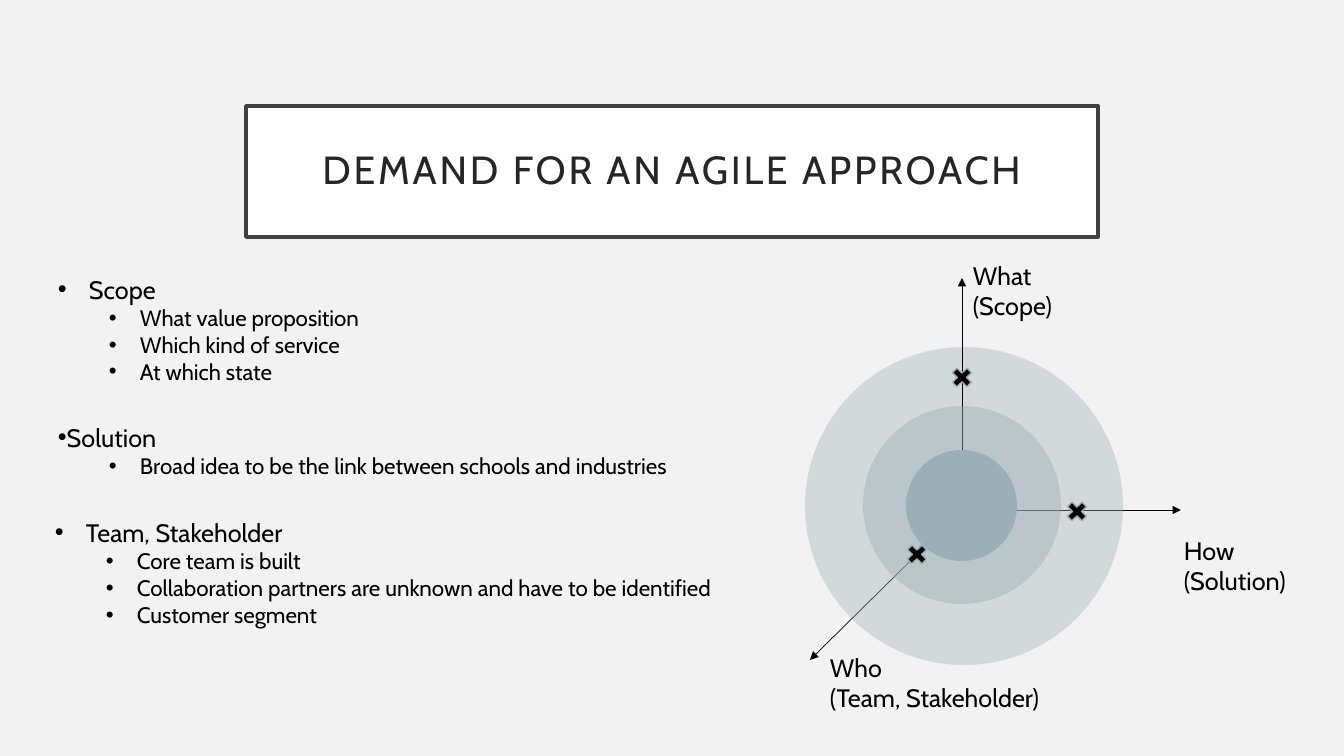
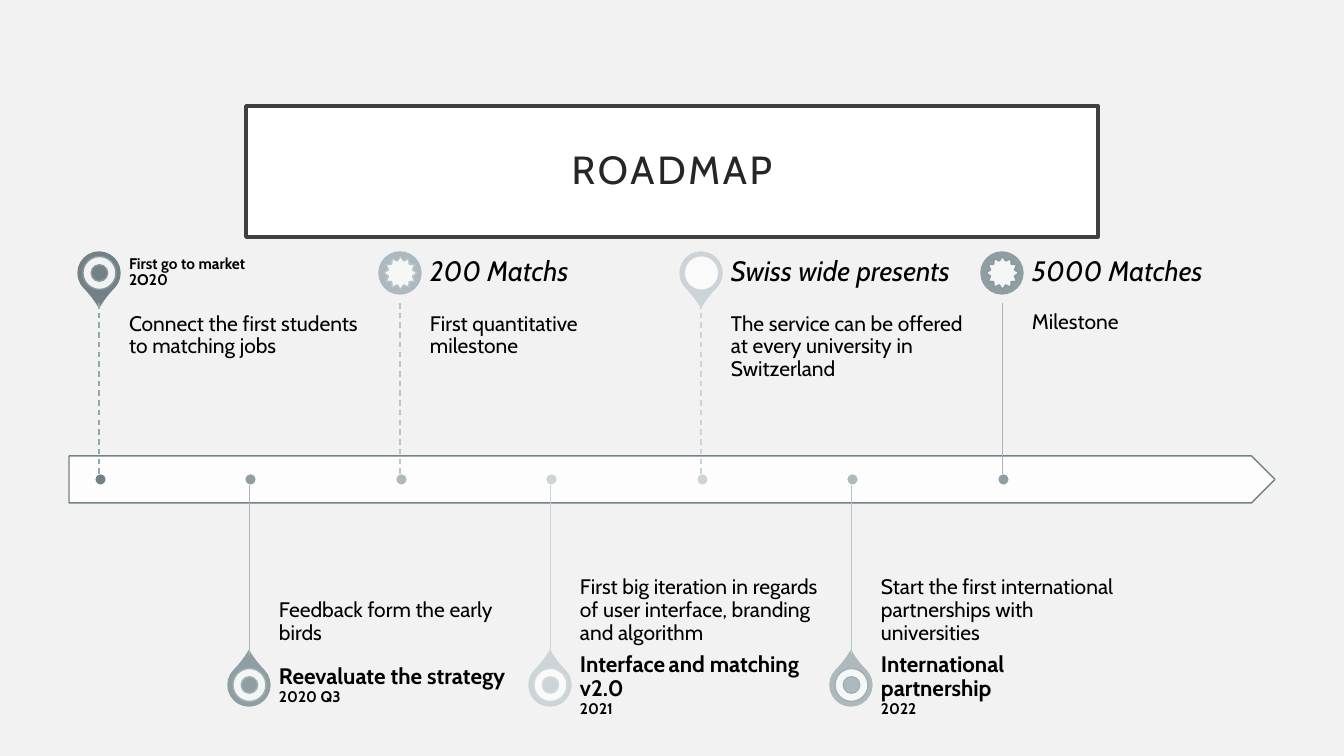
from dataclasses import dataclass

from lxml.etree import SubElement
from pptx import Presentation
from pptx.dml.color import RGBColor
from pptx.enum.dml import MSO_LINE
from pptx.enum.shapes import MSO_CONNECTOR, MSO_SHAPE
from pptx.enum.text import MSO_ANCHOR, MSO_AUTO_SIZE, PP_ALIGN
from pptx.oxml.ns import qn
from pptx.util import Pt

RECTANGLE, ELLIPSE, CROSS = MSO_SHAPE.RECTANGLE, MSO_SHAPE.OVAL, MSO_SHAPE.MATH_MULTIPLY
TEARDROP, DONUT, STAR = MSO_SHAPE.TEAR, MSO_SHAPE.DONUT, MSO_SHAPE.STAR_12_POINT
PENTAGON, STRAIGHT, DASH = MSO_SHAPE.PENTAGON, MSO_CONNECTOR.STRAIGHT, MSO_LINE.DASH
TOP, MIDDLE, BOTTOM = MSO_ANCHOR.TOP, MSO_ANCHOR.MIDDLE, MSO_ANCHOR.BOTTOM
CENTER, GROW = PP_ALIGN.CENTER, MSO_AUTO_SIZE.SHAPE_TO_FIT_TEXT

PIXEL = 914400 / 100.8


@dataclass(frozen=True)
class Theme:
    """Colours, font and type sizes shared by the slides."""
    font: str = "Cabin"
    background: str = "F2F2F2"
    white: str = "FFFFFF"
    black: str = "000000"
    frame: str = "404040"
    title_color: str = "262626"
    accent: str = "9CAFB5"
    dark: str = "738186"
    medium: str = "8F9EA2"
    soft: str = "ADB9BD"
    pale: str = "CCD4D7"
    title: int = 28
    milestone: int = 20
    label: int = 18
    item: int = 16
    description: int = 15
    date: int = 11


theme = Theme()


def add_shape(slide, preset, box, fill, line=None, width=1, opacity=100):
    """Add a preset shape with a flat fill; box is in pixels."""
    shape = slide.shapes.add_shape(preset, *[round(value * PIXEL) for value in box])
    shape.shadow.inherit = False
    shape.fill.solid()
    shape.fill.fore_color.rgb = RGBColor.from_string(fill)
    if opacity < 100:
        color = shape._element.spPr.find(".//" + qn("a:srgbClr"))
        SubElement(color, qn("a:alpha"), val=str(opacity * 1000))
    if line:
        shape.line.color.rgb = RGBColor.from_string(line)
        shape.line.width = Pt(width)
    else:
        shape.line.fill.background()
    return shape


def write_text(shape, paragraphs, insets=(10, 5, 10, 5), anchor=TOP, spacing=1.0, color=theme.black):
    """Fill a shape with paragraphs of (text, size, style) runs; a "\\n" run breaks the line."""
    frame = shape.text_frame
    frame.word_wrap = True
    frame.vertical_anchor = anchor
    (frame.margin_left, frame.margin_top, frame.margin_right,
     frame.margin_bottom) = [round(inset * PIXEL) for inset in insets]
    for index, runs in enumerate(paragraphs):
        paragraph = frame.add_paragraph() if index else frame.paragraphs[0]
        paragraph.line_spacing = spacing
        for text, size, style in runs:
            if text == "\n":
                paragraph.add_line_break()
                SubElement(paragraph._p[-1], qn("a:rPr"), sz=str(size * 100))
                continue
            run = paragraph.add_run()
            run.text = text
            run.font.name = theme.font
            run.font.size = Pt(size)
            run.font.bold = style == "bold"
            run.font.italic = style == "italic"
            run.font.color.rgb = RGBColor.from_string(color)
    return frame


presentation = Presentation()
presentation.slide_width = round(1344 * PIXEL)
presentation.slide_height = round(756 * PIXEL)
master_fill = presentation.slide_master.background.fill
master_fill.solid()
master_fill.fore_color.rgb = RGBColor.from_string(theme.background)

for heading in ("DEMAND FOR AN AGILE APPROACH", "ROADMAP"):
    slide = presentation.slides.add_slide(presentation.slide_layouts[6])
    title = add_shape(slide, RECTANGLE, (246, 106, 852, 131), theme.white, theme.frame, 2.5)
    frame = write_text(title, [[(heading, theme.title, "")]], (20, 20, 20, 20), MIDDLE, 0.9,
                       theme.title_color)
    frame.paragraphs[0].alignment = CENTER
    frame.paragraphs[0].runs[0]._r.get_or_add_rPr().set("spc", "200")
agile_slide, roadmap_slide = presentation.slides

# Agile approach: axes run under the rings that follow them
ring_layers = [
    ([(810, 660), (1181, 510)], [((805, 347, 318, 318), 37)]),
    ([(962, 278)], [((863, 406, 198, 198), 43), ((906, 450, 111, 111), 100)]),
]
for tips, rings in ring_layers:
    for x, y in tips:
        axis = agile_slide.shapes.add_connector(
            STRAIGHT, *[round(value * PIXEL) for value in (962, 510, x, y)])
        axis.line.color.rgb = RGBColor.from_string(theme.black)
        axis.line.width = Pt(0.5)
        SubElement(axis.line._get_or_add_ln(), qn("a:tailEnd"), type="triangle")
    for box, opacity in rings:
        add_shape(agile_slide, ELLIPSE, box, theme.accent, opacity=opacity)

for box, lines in [
    ((820, 647, 237, 72), ["Who", "(Team, Stakeholder)"]),
    ((963, 255, 135, 72), ["What (Scope)"]),
    ((1174, 530, 135, 72), ["How", "(Solution)"]),
]:
    label = agile_slide.shapes.add_textbox(*[round(value * PIXEL) for value in box])
    write_text(label, [[(line, theme.label, "")] for line in lines]).auto_size = GROW

for left, top in [(903, 541), (948, 364), (1063, 498)]:
    add_shape(agile_slide, CROSS, (left, top, 28, 27), theme.black, theme.accent)

topics = [
    ((48, 269, 719, 122), 31, "Scope",
     ["What value proposition", "Which kind of service", "At which state"]),
    ((48, 417, 719, 68), 0, "Solution",
     ["Broad idea to be the link between schools and industries"]),
    ((45, 512, 719, 122), 31, "Team, Stakeholder",
     ["Core team is built", "Collaboration partners are unknown and have to be identified",
      "Customer segment"]),
]
for box, topic_margin, topic, items in topics:
    topic_box = agile_slide.shapes.add_textbox(*[round(value * PIXEL) for value in box])
    frame = write_text(topic_box, [[(topic, theme.label, "")]]
                       + [[(item, theme.item, "")] for item in items])
    frame.auto_size = GROW
    for index, paragraph in enumerate(frame.paragraphs):
        paragraph.level = min(index, 1)
        properties = paragraph._p.get_or_add_pPr()
        properties.set("marL", str(round((82 if index else topic_margin) * PIXEL)))
        properties.set("indent", str(round(-31 * PIXEL)))
        SubElement(properties, qn("a:buFont"), typeface="Arial")
        SubElement(properties, qn("a:buChar"), char="•")

# Roadmap: milestones alternate above and below the arrow
add_shape(roadmap_slide, PENTAGON, (69, 456, 1206, 47), theme.white, theme.dark, 1, 90)

# marker, badge, tone, badge line, stem colour, dashed, description, heading runs
milestones = [
    (TEARDROP, DONUT, theme.dark, "89989D", "94A7AD", True,
     "Connect the first students to matching jobs",
     [("First go to market", theme.date, "bold"), ("\n", theme.date, ""),
      ("2O20", theme.date, "bold")]),
    (TEARDROP, DONUT, theme.medium, "A1AEB2", "A7B6BB", False,
     "Feedback form the early birds",
     [("Reevaluate the strategy", theme.item, "bold"), ("\n", theme.item, ""),
      ("2020 Q3", theme.date, "bold")]),
    (ELLIPSE, STAR, theme.soft, "B9C4C7", "B9C5C9", True,
     "First quantitative milestone",
     [("200 Matchs", theme.milestone, "italic")]),
    (TEARDROP, DONUT, theme.pale, "D2DADC", theme.pale, False,
     "First big iteration in regards of user interface, branding and algorithm",
     [("Interface", theme.item, "bold"), (" ", theme.date, "bold"),
      ("and matching v2.0", theme.item, "bold"), ("\n", theme.item, ""),
      ("2021", theme.date, "bold")]),
    (TEARDROP, ELLIPSE, theme.pale, None, theme.pale, True,
     "The service can be offered at every university in Switzerland",
     [("Swiss wide presents", theme.milestone, "italic")]),
    (TEARDROP, DONUT, theme.soft, "A1AEB2", "B9C5C9", False,
     "Start the first international partnerships with universities",
     [("International partnership", theme.item, "bold"), ("\n", theme.item, ""),
      ("2022", theme.date, "bold")]),
    (ELLIPSE, STAR, theme.medium, "89989D", "A7B6BB", False,
     "Milestone",
     [("5000 Matches", theme.milestone, "italic")]),
]
for index, (marker_kind, badge, tone, badge_line, stem_color, dashed,
            description, heading_runs) in enumerate(milestones):
    center = 99 + index * 301 // 2
    above = index % 2 == 0
    marker_top, heading_top, description_top = (252, 242, 303) if above else (664, 655, 480)
    marker = add_shape(roadmap_slide, marker_kind, (center - 21, marker_top, 42, 42), tone, tone)
    if marker_kind == TEARDROP:
        marker.adjustments[0] = 1.15
        marker.rotation = 135 if above else 315
    add_shape(roadmap_slide, badge, (center - 16, marker_top + 4.5, 33, 33), theme.white,
              badge_line, 1, 90)

    for top, height, runs, insets, anchor in [
        (description_top, 175, [(description, theme.description, "")],
         (0, 10, 10, 16) if above else (0, 16, 0, 10), TOP if above else BOTTOM),
        (heading_top, 61, heading_runs, (0, 0, 11, 0), MIDDLE),
    ]:
        text_box = roadmap_slide.shapes.add_textbox(
            *[round(value * PIXEL) for value in (center + 30, top, 243, height)])
        write_text(text_box, [runs], insets, anchor, 0.9)

    stem = roadmap_slide.shapes.add_connector(
        STRAIGHT, *[round(value * PIXEL)
                    for value in (center, description_top, center, description_top + 175)])
    stem.line.color.rgb = RGBColor.from_string(stem_color)
    stem.line.width = Pt(1 if dashed else 0.5)
    if dashed:
        stem.line.dash_style = DASH
    add_shape(roadmap_slide, ELLIPSE, (center - 4, 474, 11, 11), tone, theme.white, 0.5)

for slide in presentation.slides:
    for connector in slide.shapes._spTree.findall(qn("p:cxnSp")):
        SubElement(connector.spPr, qn("a:effectLst"))

presentation.save("out.pptx")
